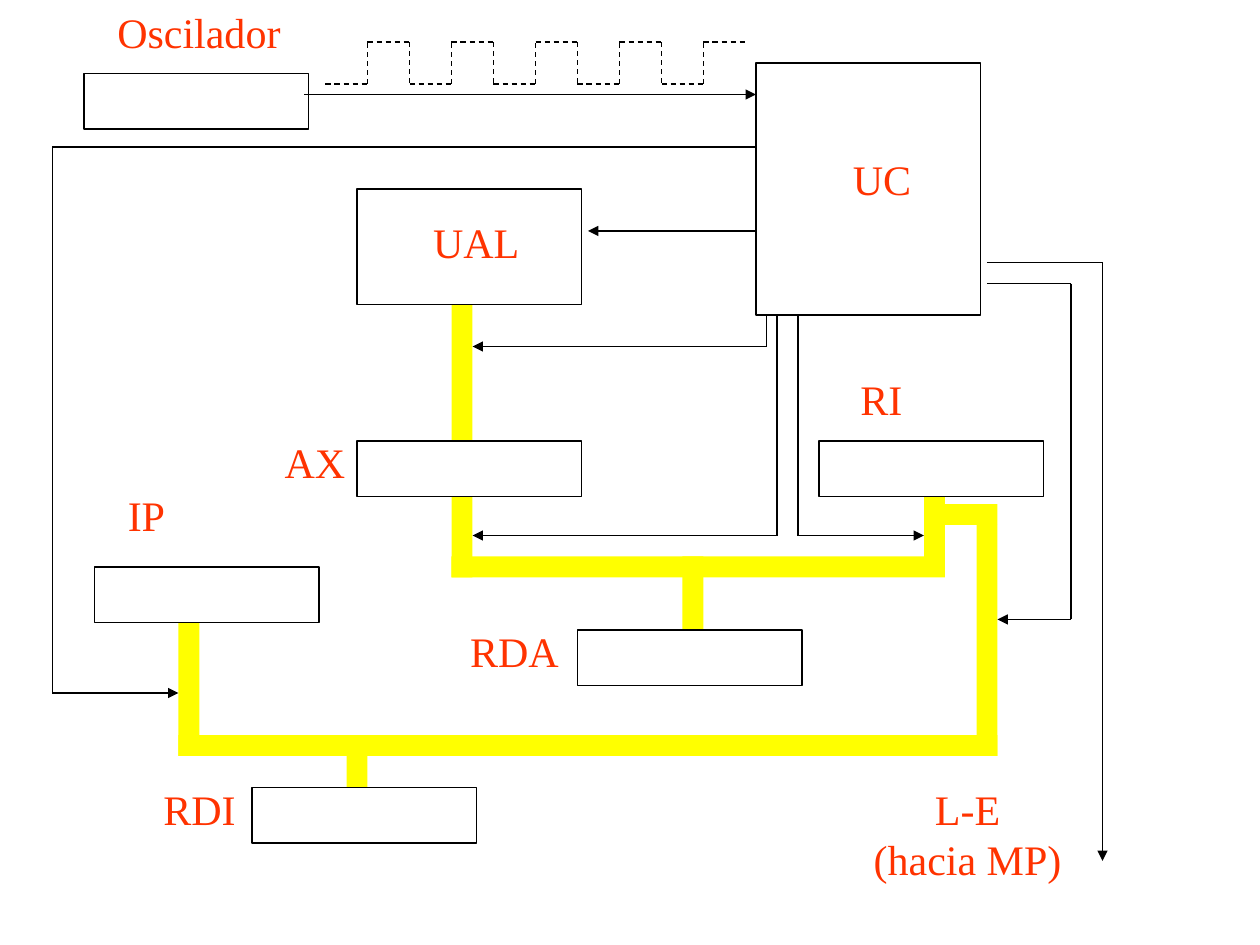
import itertools

import lxml.etree
import pptx
import pptx.dml.color
import pptx.enum.dml
import pptx.enum.shapes
import pptx.enum.text
import pptx.oxml.ns
import pptx.util

EMU_PER_PX = 7620
COLORS = {"box": "FFFFFF", "line": "000000", "bus": "FFFF00", "label": "FF3300"}
FONT = "Times New Roman"
LINE_WIDTH = pptx.util.Pt(0.75)
BUS = 20
REGISTER = (214, 53)

BUSES = [
    (330, 700, BUS, 80),
    (430, 290, BUS, 260),
    (880, 420, BUS, 120),
    (170, 590, BUS, 130),
    (650, 530, BUS, 120),
    (930, 500, BUS, 220),
    (170, 700, 780, BUS),
    (890, 480, 60, BUS),
    (430, 530, 470, BUS),
]
UNITS = [
    (720, 60, 214, 240),
    (340, 180, 214, 110),
]
REGISTERS = [(80, 70), (340, 420), (780, 420), (240, 750), (90, 540), (550, 600)]
CONTROL_ROUTES = [
    [(290, 90), (720, 90)],
    [(720, 220), (560, 220)],
    [(730, 300), (730, 330), (450, 330)],
    [(740, 300), (740, 510), (450, 510)],
    [(760, 300), (760, 510), (880, 510)],
    [(940, 270), (1020, 270), (1020, 590), (950, 590)],
    [(940, 250), (1050, 250), (1050, 820)],
    [(720, 140), (50, 140), (50, 660), (170, 660)],
]
LABELS = [
    (["UC"], 799, 140, 82, 60),
    (["RDI"], 142, 740, 96, 60),
    (["RDA"], 434, 590, 112, 60),
    (["IP"], 108, 460, 63, 60),
    (["RI"], 806, 350, 67, 60),
    (["AX"], 257, 410, 86, 60),
    (["UAL"], 399, 200, 109, 60),
    (["Oscilador"], 98, 0, 183, 60),
    (["L-E", "(hacia MP)"], 819, 740, 205, 108),
]


def px(length):
    return pptx.util.Emu(length * EMU_PER_PX)


def rgb(name):
    return pptx.dml.color.RGBColor.from_string(COLORS[name])


def add_block(slide, left, top, width, height, fill, outlined):
    block = slide.shapes.add_shape(
        pptx.enum.shapes.MSO_SHAPE.RECTANGLE, px(left), px(top), px(width), px(height)
    )
    block.shadow.inherit = False
    block.fill.solid()
    block.fill.fore_color.rgb = rgb(fill)
    if outlined:
        block.line.color.rgb = rgb("line")
        block.line.width = LINE_WIDTH
    else:
        block.line.fill.background()


def add_segment(slide, start, end):
    segment = slide.shapes.add_connector(
        pptx.enum.shapes.MSO_CONNECTOR.STRAIGHT, *map(px, start + end)
    )
    segment.line.color.rgb = rgb("line")
    segment.line.width = LINE_WIDTH
    lxml.etree.SubElement(segment.element.spPr, pptx.oxml.ns.qn("a:effectLst"))
    return segment


def add_route(slide, points):
    for start, end in itertools.pairwise(points):
        segment = add_segment(slide, start, end)
    outline = segment.element.spPr.find(pptx.oxml.ns.qn("a:ln"))
    arrowhead = lxml.etree.SubElement(outline, pptx.oxml.ns.qn("a:tailEnd"))
    arrowhead.set("type", "triangle")


def add_clock_signal(slide, left, high, low, step, levels):
    points = []
    for i in range(levels):
        level = high if i % 2 else low
        points += [(left + i * step, level), (left + (i + 1) * step, level)]
    for start, end in itertools.pairwise(points):
        segment = add_segment(slide, start, end)
        segment.line.dash_style = pptx.enum.dml.MSO_LINE.DASH


def add_label(slide, lines, left, top, width, height):
    label = slide.shapes.add_textbox(px(left), px(top), px(width), px(height))
    frame = label.text_frame
    frame.word_wrap = False
    frame.auto_size = pptx.enum.text.MSO_AUTO_SIZE.SHAPE_TO_FIT_TEXT
    frame.text = "\n".join(lines)
    for paragraph in frame.paragraphs:
        paragraph.alignment = pptx.enum.text.PP_ALIGN.CENTER
        paragraph.font.name = FONT
        paragraph.font.size = pptx.util.Pt(24)
        paragraph.font.color.rgb = rgb("label")


def main():
    presentation = pptx.Presentation()
    presentation.slide_width = px(1200)
    presentation.slide_height = px(900)
    slide = presentation.slides.add_slide(presentation.slide_layouts[6])

    for bus in BUSES:
        add_block(slide, *bus, fill="bus", outlined=False)
    for unit in UNITS + [corner + REGISTER for corner in REGISTERS]:
        add_block(slide, *unit, fill="box", outlined=True)
    for route in CONTROL_ROUTES:
        add_route(slide, route)
    for label in LABELS:
        add_label(slide, *label)
    add_clock_signal(slide, left=310, high=40, low=80, step=40, levels=10)

    presentation.save("out.pptx")


if __name__ == "__main__":
    main()
